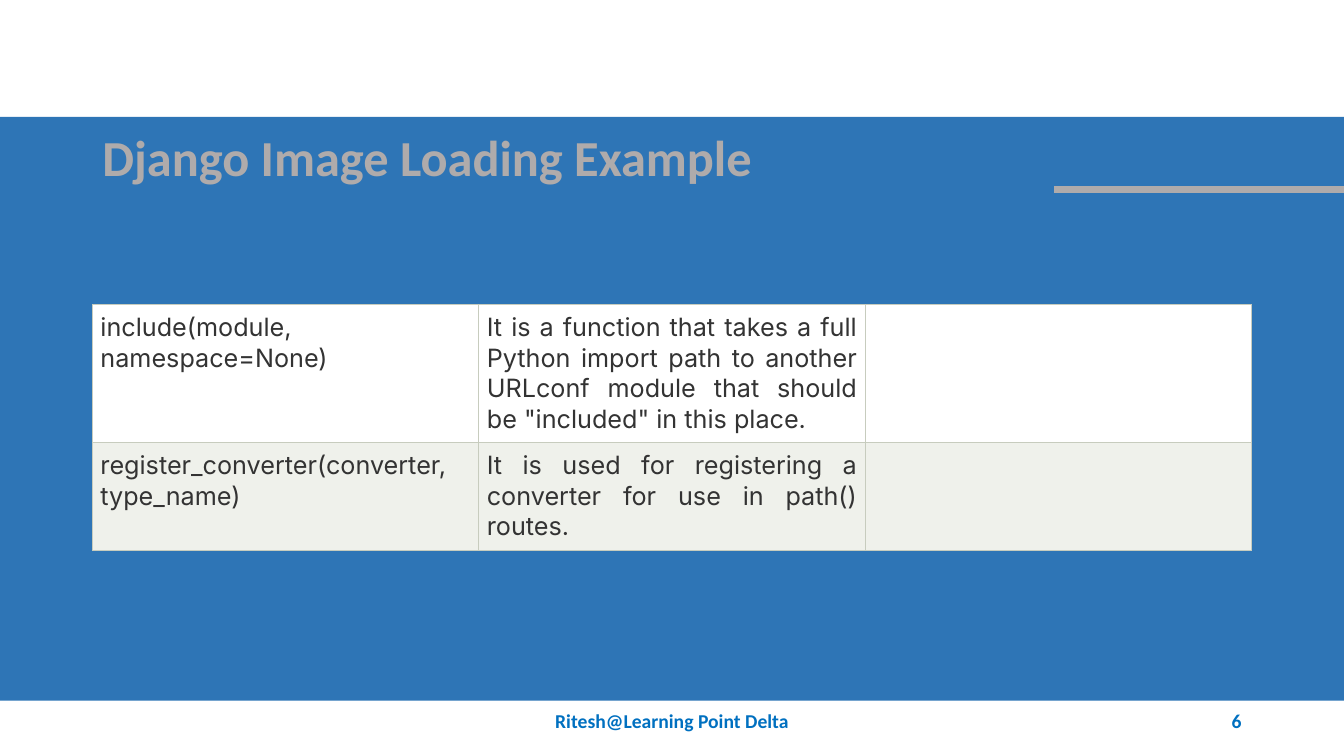
from dataclasses import dataclass

from lxml.etree import SubElement
from pptx import Presentation
from pptx.dml.color import RGBColor
from pptx.enum.shapes import MSO_CONNECTOR as CONN, MSO_SHAPE as SHAPE
from pptx.enum.text import MSO_ANCHOR as ANCHOR, PP_ALIGN as ALIGN
from pptx.oxml.ns import qn
from pptx.util import Inches, Pt

COLS, ROWS = 160, 90
WIDTH, HEIGHT = Inches(13.33), Inches(7.5)
BLUE, GRAY, FOOTER = "2E75B6", "AFABAB", "0070C0"
CELL_TEXT, CELL_BORDER = "333333", "C7CCBE"
MARGIN, CONTENT = 11, 138


@dataclass(frozen=True)
class Label:
    text: str
    col: float
    row: float
    cols: float
    rows: float
    size: int
    color: str
    align: ALIGN
    spacing: float = 1.0


@dataclass(frozen=True)
class TableRow:
    texts: tuple[str, ...]
    rows: float
    fill: str


LABELS = [
    Label("Django Image Loading Example", MARGIN, 15.6, CONTENT, 7, 36, GRAY, ALIGN.LEFT, 0.9),
    Label("Ritesh@Learning Point Delta", 53, 83.4, 54, 4.8, 14, FOOTER, ALIGN.CENTER),
    Label("6", 113, 83.4, 36, 4.8, 14, FOOTER, ALIGN.RIGHT),
]
FUNCTIONS = [
    TableRow(("include(module, namespace=None)",
              "It is a function that takes a full Python import path to another "
              "URLconf module that should be \"included\" in this place.",
              ""), 16.44, "FFFFFF"),
    TableRow(("register_converter(converter, type_name)",
              "It is used for registering a converter for use in path() routes.",
              ""), 12.84, "EFF1EB"),
]


def x(cols: float) -> int:
    return round(WIDTH * cols / COLS)


def y(rows: float) -> int:
    return round(HEIGHT * rows / ROWS)


def rgb(color: str) -> RGBColor:
    return RGBColor.from_string(color)


def paint(fill, color: str) -> None:
    fill.solid()
    fill.fore_color.rgb = rgb(color)


def set_font(font, name: str, size: int, color: str, bold: bool) -> None:
    font.name, font.size, font.bold = name, Pt(size), bold
    font.color.rgb = rgb(color)


def add_band(slide) -> None:
    sp = slide.shapes.add_shape(SHAPE.RECTANGLE, 0, y(13.92), WIDTH, y(69.48))
    sp.shadow.inherit = False
    paint(sp.fill, BLUE)
    sp.line.fill.background()


def add_accent(slide) -> None:
    line = slide.shapes.add_connector(CONN.STRAIGHT, x(125.52), y(22.56), WIDTH, y(22.56))
    line.line.color.rgb = rgb(GRAY)
    line.line.width = Pt(4.5)
    SubElement(line._element.spPr, qn("a:effectLst"))


def add_label(slide, label: Label) -> None:
    sp = slide.shapes.add_textbox(x(label.col), y(label.row), x(label.cols), y(label.rows))
    tf = sp.text_frame
    tf.word_wrap = True
    tf.vertical_anchor = ANCHOR.MIDDLE
    p = tf.paragraphs[0]
    p.text, p.alignment, p.line_spacing = label.text, label.align, label.spacing
    set_font(p.font, "Calibri", label.size, label.color, True)


def add_borders(cell) -> None:
    tc_pr = cell._tc.get_or_add_tcPr()
    for side in ("lnL", "lnR", "lnT", "lnB"):
        ln = SubElement(tc_pr, qn(f"a:{side}"), w=str(Pt(0.75)))
        fill = SubElement(ln, qn("a:solidFill"))
        SubElement(fill, qn("a:srgbClr"), val=CELL_BORDER)


def fill_cell(cell, text: str, color: str) -> None:
    add_borders(cell)
    paint(cell.fill, color)
    cell.margin_left = cell.margin_right = Inches(0.08)
    cell.margin_top = cell.margin_bottom = Inches(0.08)
    p = cell.text_frame.paragraphs[0]
    p.text, p.alignment = text, ALIGN.JUSTIFY
    set_font(p.font, "Inter", 18, CELL_TEXT, False)


def add_functions(slide, functions: list[TableRow]) -> None:
    n_cols = len(functions[0].texts)
    height = y(sum(f.rows for f in functions))
    table = slide.shapes.add_table(
        len(functions), n_cols, x(MARGIN), y(36.24), x(CONTENT), height).table
    table.first_row = table.horz_banding = False
    for column in table.columns:
        column.width = x(CONTENT / n_cols)
    for row, function in zip(table.rows, functions):
        row.height = y(function.rows)
        for cell, text in zip(row.cells, function.texts):
            fill_cell(cell, text, function.fill)


def main() -> None:
    """Build the Django URL functions slide."""
    prs = Presentation()
    prs.slide_width, prs.slide_height = WIDTH, HEIGHT
    s = prs.slides.add_slide(prs.slide_layouts[6])
    paint(s.background.fill, "FFFFFF")
    add_band(s)
    add_accent(s)
    add_functions(s, FUNCTIONS)
    for label in LABELS:
        add_label(s, label)
    prs.save("out.pptx")


if __name__ == "__main__":
    main()
